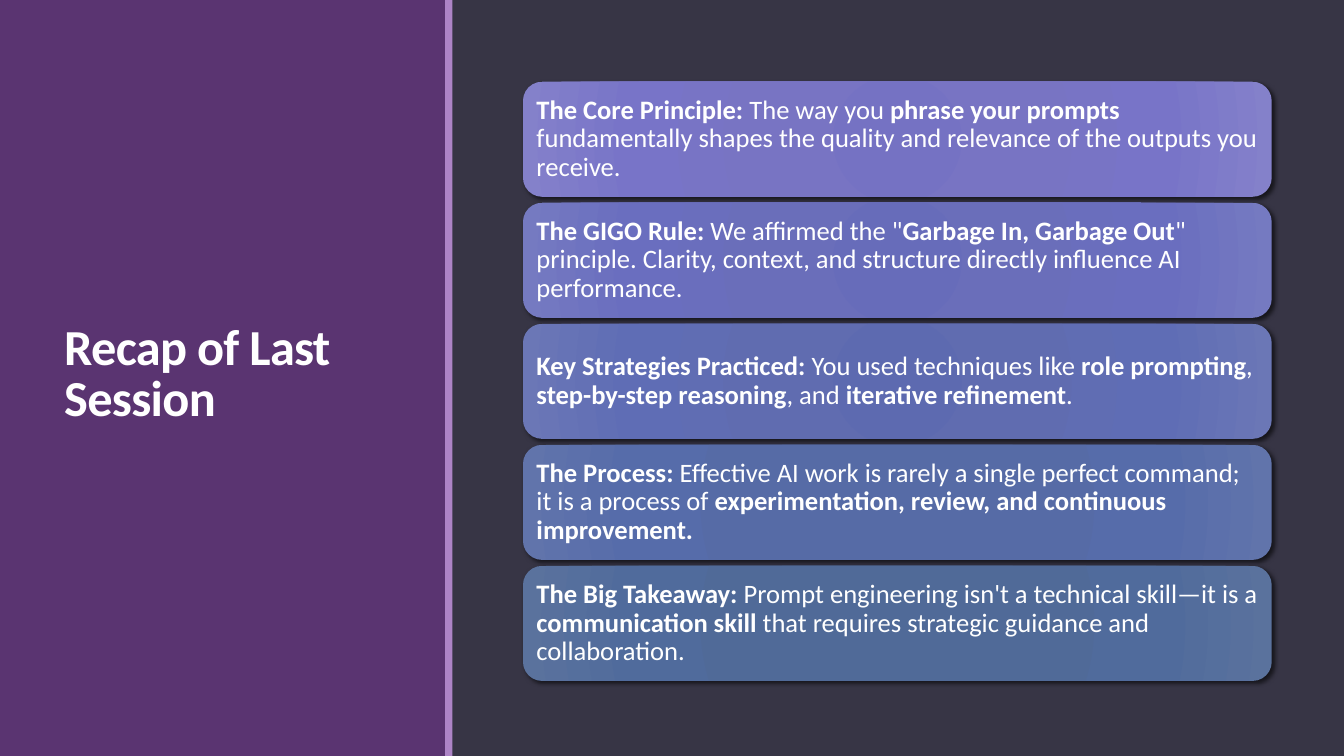
from lxml.etree import SubElement
from pptx import Presentation
from pptx.dml.color import RGBColor
from pptx.enum.shapes import MSO_SHAPE
from pptx.enum.text import MSO_ANCHOR, PP_ALIGN
from pptx.oxml.ns import qn
from pptx.util import Cm, Pt

TITLE = "Recap of Last Session"
CARDS = [
    ["The Core Principle:", " The way you ", "phrase your prompts",
     " fundamentally shapes the quality and relevance of the outputs you receive."],
    ["The GIGO Rule:", ' We affirmed the "', "Garbage In, Garbage Out",
     '" principle. Clarity, context, and structure directly influence AI performance.'],
    ["Key Strategies Practiced:", " You used techniques like ", "role prompting", ", ",
     "step-by-step reasoning", ", and ", "iterative refinement", "."],
    ["The Process:", " Effective AI work is rarely a single perfect command; it is a process of ",
     "experimentation, review, and continuous improvement."],
    ["The Big Takeaway:", " Prompt engineering isn't a technical skill—it is a ",
     "communication skill", " that requires strategic guidance and collaboration."],
]
TINTS = [
    ["7572C3", "7874C3", "7874C8", "8481CA"],
    ["676CBA", "6A6EBA", "6A6EBF", "757AC1"],
    ["5D6AB0", "606CB0", "5F6DB5", "6B77B6"],
    ["5469A6", "566BA6", "566CAA", "6174AB"],
    ["4E6998", "506A98", "506B9C", "5A729D"],
]
STOPS = [0, 34, 70, 100]
COLORS = {"back": "373545", "panel": "5A3471", "stripe": "AD84C6",
          "text": "FFFFFF", "shade": "000000"}
FONT = "Calibri"
LEFT, TOP, WIDTH, HEIGHT, GAP = 13.18, 2.06, 18.87, 2.9, 0.15


def rgb(name):
    return RGBColor.from_string(COLORS[name])


def node(parent, tag, **attrs):
    return SubElement(parent, qn(tag), {key: str(val) for key, val in attrs.items()})


def add_bar(slide, left, width, color):
    bar = slide.shapes.add_shape(MSO_SHAPE.RECTANGLE, Cm(left), 0, Cm(width), Cm(19.05))
    bar.shadow.inherit = False
    bar.fill.solid()
    bar.fill.fore_color.rgb = rgb(color)
    bar.line.fill.background()


def add_text(shape, parts, size, lead, inset):
    frame = shape.text_frame
    frame.word_wrap = True
    frame.vertical_anchor = MSO_ANCHOR.MIDDLE
    frame.margin_left = frame.margin_right = Cm(inset)
    frame.margin_top = frame.margin_bottom = Cm(inset)
    para = frame.paragraphs[0]
    para.alignment = PP_ALIGN.LEFT
    para.line_spacing = lead
    for index, part in enumerate(parts):
        run = para.add_run()
        run.text = part
        run.font.name = FONT
        run.font.size = Pt(size)
        run.font.bold = index % 2 == 0
        run.font.color.rgb = rgb("text")
    return para


def add_glow(shape, tints):
    shape.line.fill.background()
    shape.shadow.inherit = False
    props = shape.element.spPr
    grad = node(props, "a:gradFill", rotWithShape=1)
    stops = node(grad, "a:gsLst")
    for stop, tint in zip(STOPS, tints):
        node(node(stops, "a:gs", pos=stop * 1000), "a:srgbClr", val=tint)
    round_path = node(grad, "a:path", path="circle")
    node(round_path, "a:fillToRect", l=100000, t=100000, r=100000, b=100000)
    props.find(qn("a:prstGeom")).addnext(grad)
    shade = node(props.find(qn("a:effectLst")), "a:outerShdw", blurRad=Pt(3.5),
                 dist=Pt(2), dir=45 * 60000, rotWithShape=0)
    node(node(shade, "a:srgbClr", val=COLORS["shade"]), "a:alpha", val=60000)


def main():
    deck = Presentation()
    deck.slide_width, deck.slide_height = Cm(33.87), Cm(19.05)
    slide = deck.slides.add_slide(deck.slide_layouts[6])
    slide.background.fill.solid()
    slide.background.fill.fore_color.rgb = rgb("back")
    add_bar(slide, 0, 11.25, "panel")
    title = slide.shapes.add_textbox(Cm(1.37), Cm(1.45), Cm(8.56), Cm(16.03))
    para = add_text(title, [TITLE], 36, 0.85, 0.25)
    para.runs[0].font._element.set("spc", "-50")
    add_bar(slide, 11.22, 0.18, "stripe")
    for row, (parts, tints) in enumerate(zip(CARDS, TINTS)):
        card = slide.shapes.add_shape(MSO_SHAPE.ROUNDED_RECTANGLE, Cm(LEFT),
                                      Cm(TOP + row * (HEIGHT + GAP)), Cm(WIDTH), Cm(HEIGHT))
        add_glow(card, tints)
        add_text(card, parts, 19, 0.9, 0.2)
    deck.save("out.pptx")


if __name__ == "__main__":
    main()
